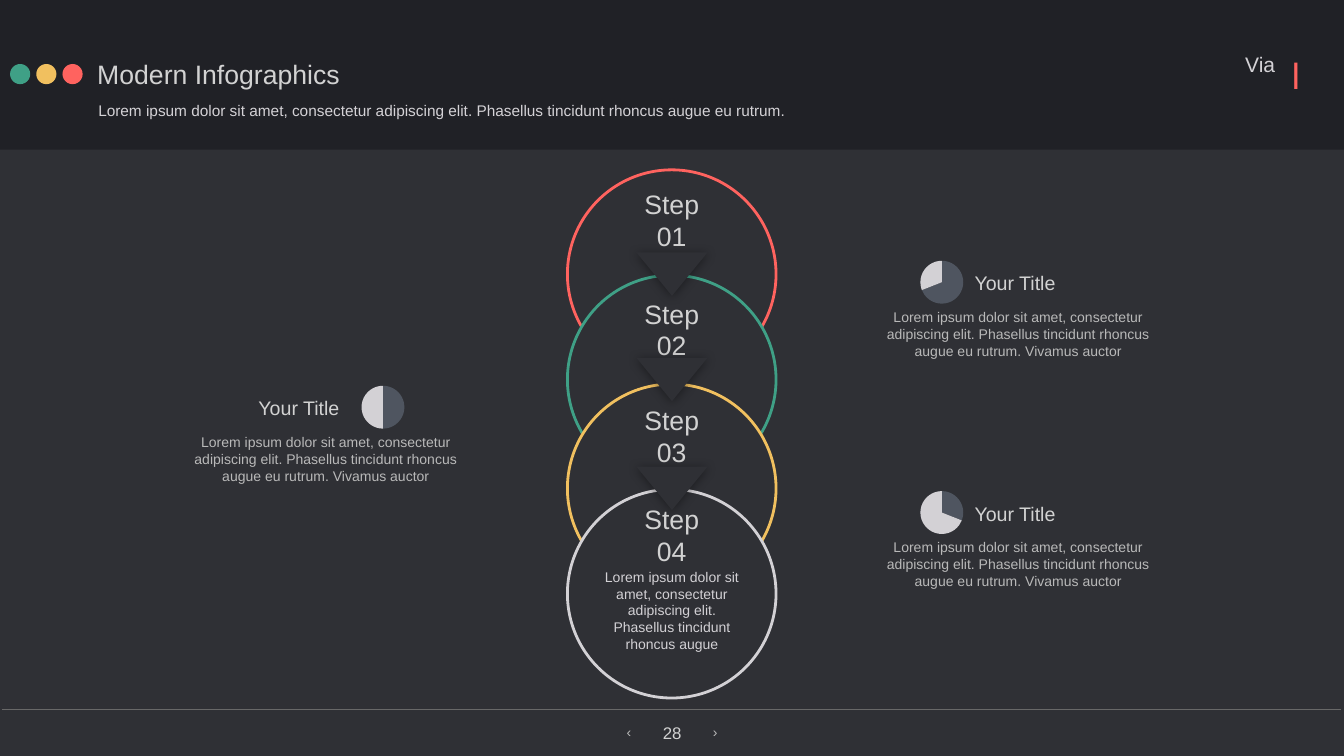
from dataclasses import dataclass

from pptx import Presentation
from pptx import util as u
from pptx.chart.data import CategoryChartData
from pptx.dml.color import RGBColor
from pptx.enum import chart, shapes, text
from pptx.oxml import parse_xml
from pptx.oxml.ns import nsdecls, qn


@dataclass(frozen=True)
class Theme:
    font: str = "Arial"
    background: str = "2F3035"
    header: str = "202126"
    rule: str = "686868"
    green: str = "3FA086"
    yellow: str = "F1C05F"
    red: str = "FF635F"
    pale: str = "D3D1D5"
    subtitle: str = "D4D2D6"
    heading: str = "D2D2D2"
    muted: str = "B9B9B9"
    slate: str = "4F5560"
    bar_size: int = 52
    heading_size: int = 38
    brand_size: int = 30
    title_size: int = 28
    page_size: int = 24
    subtitle_size: int = 22
    body_size: int = 20


LEFT, CENTER = text.PP_ALIGN.LEFT, text.PP_ALIGN.CENTER
TOP, MIDDLE = text.MSO_ANCHOR.TOP, text.MSO_ANCHOR.MIDDLE


class Painter:
    def __init__(self, slide, theme):
        self.s, self.theme = slide, theme
        slide.background.fill.solid()
        slide.background.fill.fore_color.rgb = RGBColor.from_string(theme.background)

    def style(self, sp, fill, line=None, width=4):
        sp.fill.solid()
        sp.fill.fore_color.rgb = RGBColor.from_string(fill)
        if line:
            sp.line.color.rgb = RGBColor.from_string(line)
            sp.line.width = u.Pt(width)
        else:
            sp.line.fill.background()
        sp.shadow.inherit = False

    def shape(self, kind, x, y, w, h, fill, line=None):
        sp = self.s.shapes.add_shape(kind, *map(u.Inches, (x, y, w, h)))
        self.style(sp, fill, line)

    def circle(self, x, y, size, fill, line=None):
        self.shape(shapes.MSO_SHAPE.OVAL, x, y, size, size, fill, line)

    def label(self, words, x, y, w, h, size, color, align=LEFT, anchor=TOP, wrap=False):
        sp = self.s.shapes.add_textbox(*map(u.Inches, (x, y, w, h)))
        tf = sp.text_frame
        tf.text = words
        tf.word_wrap = wrap
        tf.auto_size = text.MSO_AUTO_SIZE.SHAPE_TO_FIT_TEXT
        tf.vertical_anchor = anchor
        tf.margin_left = tf.margin_right = tf.margin_top = tf.margin_bottom = u.Inches(0.06)
        p = tf.paragraphs[0]
        p.alignment = align
        font = p.runs[0].font
        font.name, font.size = self.theme.font, u.Pt(size)
        font.color.rgb = RGBColor.from_string(color)

    def line(self, x1, y1, x2, y2, color):
        c = self.s.shapes.add_connector(
            shapes.MSO_CONNECTOR.STRAIGHT, *map(u.Inches, (x1, y1, x2, y2)))
        c.line.color.rgb = RGBColor.from_string(color)
        c.line.width = u.Pt(1)
        c._element.spPr.append(parse_xml(f"<a:effectLst {nsdecls('a')}/>"))

    def down_triangle(self, x, y, w, h):
        points = [(x + w, y), (x + w / 2, y + h)]
        builder = self.s.shapes.build_freeform(u.Inches(x), u.Inches(y))
        builder.add_line_segments([(u.Inches(a), u.Inches(b)) for a, b in points])
        sp = builder.convert_to_shape()
        self.style(sp, self.theme.background)
        sp._element.spPr.find(qn("a:effectLst")).append(parse_xml(
            f'<a:outerShdw {nsdecls("a")} blurRad="{u.Pt(15)}" dist="{u.Pt(2)}" '
            'dir="5400000" algn="ctr" rotWithShape="0"><a:srgbClr val="000000">'
            '<a:alpha val="39000"/></a:srgbClr></a:outerShdw>'))

    def pie(self, x, y, size, values):
        data = CategoryChartData()
        data.categories = ["1", "2"]
        data.add_series("Series 1", values)
        ch = self.s.shapes.add_chart(
            chart.XL_CHART_TYPE.PIE, *map(u.Inches, (x, y, size, size)), data).chart
        ch.has_legend = ch.has_title = False
        ch.font.name, ch.font.size = self.theme.font, u.Pt(10)
        ch.font.color.rgb = RGBColor(0, 0, 0)
        ch.plots[0].vary_by_categories = True
        for i, color in enumerate((self.theme.slate, self.theme.pale)):
            fmt = ch.plots[0].series[0].points[i].format
            fmt.fill.solid()
            fmt.fill.fore_color.rgb = RGBColor.from_string(color)
            fmt.line.fill.background()
        # Let the pie fill its whole frame
        area = ch._chartSpace.chart.plotArea
        for old in area.findall(qn("c:layout")):
            area.remove(old)
        sides = (("x", 0.005), ("y", 0.005), ("w", 0.99), ("h", 0.99))
        area.insert(0, parse_xml(
            f'<c:layout {nsdecls("c")}><c:manualLayout><c:layoutTarget val="inner"/>'
            '<c:xMode val="edge"/><c:yMode val="edge"/>'
            + "".join(f'<c:{k} val="{v}"/>' for k, v in sides)
            + "</c:manualLayout></c:layout>"))


def main():
    prs = Presentation()
    prs.slide_width, prs.slide_height = u.Inches(26.67), u.Inches(15)
    t = Theme()
    d = Painter(prs.slides.add_slide(prs.slide_layouts[6]), t)
    lorem = "Lorem ipsum dolor sit amet, consectetur adipiscing elit. Phasellus tincidunt rhoncus augue"

    # Header band
    d.shape(shapes.MSO_SHAPE.RECTANGLE, 0, 0, 26.67, 2.97, t.header)
    for i, color in enumerate((t.green, t.yellow, t.red)):
        d.circle(0.2 + 0.52 * i, 1.27, 0.4, color)
    d.label("Via", 24.65, 0.97, 0.72, 0.61, t.brand_size, t.subtitle, anchor=MIDDLE)
    d.label("l", 25.57, 1.01, 0.29, 0.97, t.bar_size, t.red, CENTER, MIDDLE)
    d.label("Modern Infographics", 1.87, 1.09, 4.94, 0.75, t.heading_size, t.heading, anchor=MIDDLE)
    d.label(lorem + " eu rutrum.", 1.89, 1.95, 13.78, 0.47, t.subtitle_size, t.subtitle)

    # Footer
    d.line(0.04, 14.07, 26.62, 14.07, t.rule)
    for arrow, x in (("‹", 12.37), ("›", 14.08)):
        d.label(arrow, x, 14.31, 0.22, 0.44, t.body_size, t.muted, CENTER, MIDDLE)
    d.label("28", 13.09, 14.28, 0.5, 0.51, t.page_size, t.heading, CENTER)

    # Overlapping step circles: circle top, label top, outline
    steps = [(3.37, 3.98, t.red), (5.46, 6.16, t.green),
             (7.62, 8.28, t.yellow), (9.71, 10.24, t.pale)]
    for i, (top, label_top, color) in enumerate(steps, 1):
        d.circle(11.26, top, 4.14, t.background, color)
        d.label(f"Step {i:02}", 12.36, label_top, 1.94, 0.75,
                t.heading_size, t.heading, CENTER, MIDDLE)
    d.label(lorem, 11.78, 11.22, 3.11, 1.78, t.body_size, t.pale, CENTER, MIDDLE, wrap=True)

    # Pointers from each step to the next
    for top, _, _ in steps[:-1]:
        d.down_triangle(12.63, top + 1.64, 1.41, 0.86)

    # Callouts: pie left, title left, body left, top, values
    callouts = [(18.26, 19.28, 17.46, 5.17, (69, 31)),
                (18.26, 19.28, 17.46, 9.74, (31, 69)),
                (7.17, 5.07, 3.72, 7.65, (50, 50))]
    for pie_x, title_x, body_x, top, values in callouts:
        d.pie(pie_x, top, 0.86, values)
        d.label("Your Title", title_x, top + 0.15, 1.73, 0.58, t.title_size, t.heading)
        d.label(lorem + " eu rutrum. Vivamus auctor", body_x, top + 0.89, 5.49, 1.11,
                t.body_size, t.muted, CENTER, wrap=True)

    prs.save("out.pptx")


if __name__ == "__main__":
    main()
